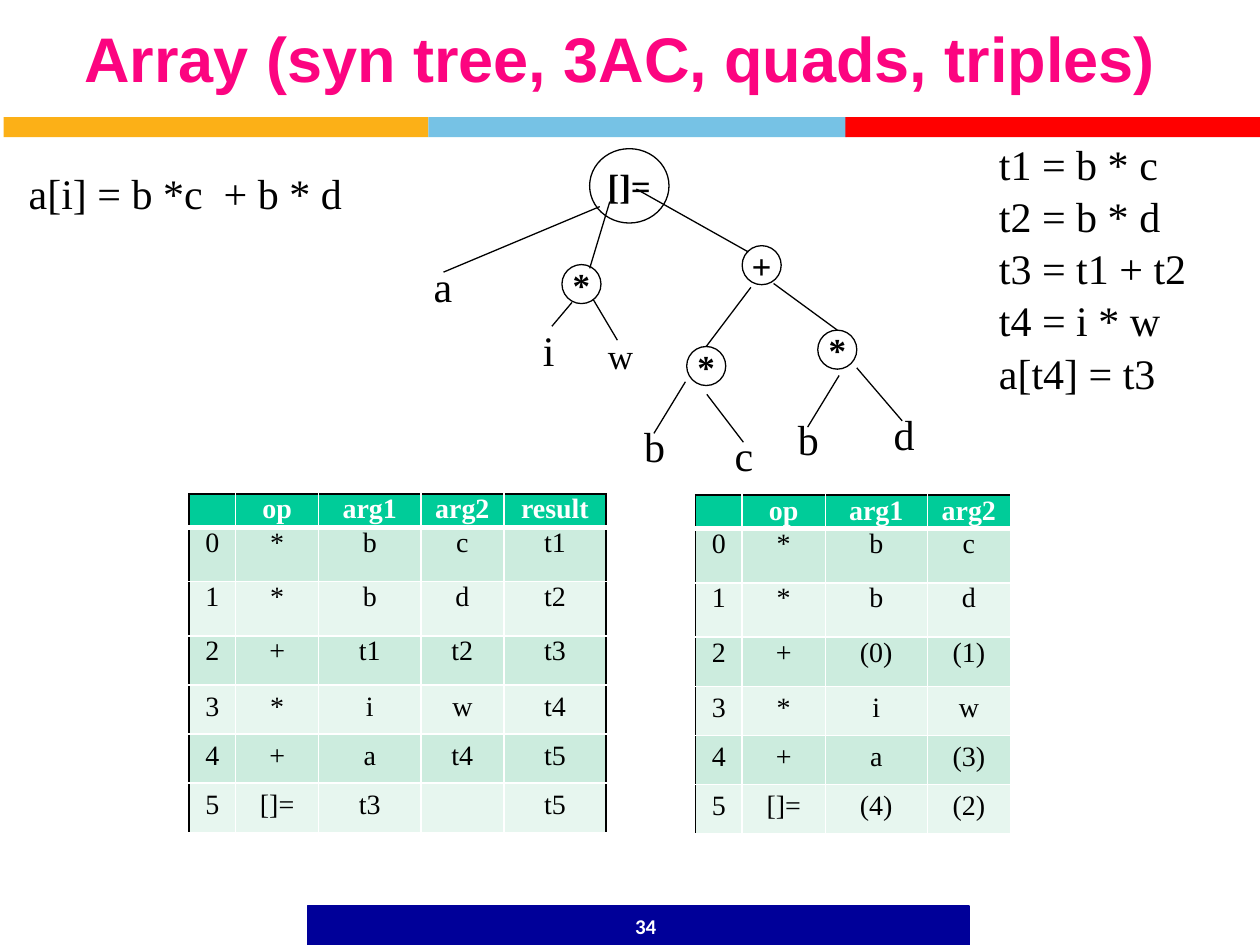
from lxml import etree
from pptx import Presentation
from pptx import util as u
from pptx.dml.color import RGBColor
from pptx.enum import shapes, text
from pptx.oxml.ns import qn

PX = 9144  # EMU in one px, 100 px to the inch

PINK = RGBColor(0xFC, 0x04, 0x80)
AMBER = RGBColor(0xFC, 0xB0, 0x17)
SKY = RGBColor(0x76, 0xC2, 0xE5)
RED = RGBColor(0xFF, 0x00, 0x00)
NAVY = RGBColor(0x00, 0x00, 0x99)
GREEN = RGBColor(0x00, 0xCC, 0x99)
BAND_DARK = RGBColor(0xCC, 0xEC, 0xDE)
BAND_LIGHT = RGBColor(0xE7, 0xF6, 0xEF)
BLACK = RGBColor(0, 0, 0)
WHITE = RGBColor(0xFF, 0xFF, 0xFF)

SERIF = "Times New Roman"
BODY = {"name": SERIF, "size": u.Pt(24), "bold": False}
NODE = {"name": SERIF, "size": u.Pt(20), "bold": True}
SMALL_LEAF = {"name": SERIF, "size": u.Pt(20), "bold": False}
CELL = {"name": SERIF, "size": u.Pt(16), "bold": False}
HEADER = {**CELL, "bold": True}
TITLE = {"name": "Arial", "size": u.Pt(36), "bold": True}
NUMBER = {"name": "Calibri", "size": u.Pt(12), "bold": True}

CENTER = text.PP_ALIGN.CENTER
TOP, MIDDLE = text.MSO_ANCHOR.TOP, text.MSO_ANCHOR.MIDDLE
NO_MARGINS = dict.fromkeys(
    ("margin_left", "margin_top", "margin_right", "margin_bottom"), 0)


def emu(*lengths):
    return [length * PX for length in lengths]


def set_all(target, values):
    for name, value in values.items():
        setattr(target, name, value)


def write(frame, lines, font, color=BLACK, align=None, before=None):
    for index, line in enumerate(lines):
        para = frame.add_paragraph() if index else frame.paragraphs[0]
        set_all(para, {"alignment": align, "space_before": before})
        span = para.add_run()
        span.text = line
        set_all(span.font, font)
        span.font.color.rgb = color


def add_text(page, box, lines, font, anchor=TOP, margins=None, **style):
    frame = page.shapes.add_textbox(*emu(*box)).text_frame
    set_all(frame, {"word_wrap": True, "vertical_anchor": anchor, **(margins or {})})
    write(frame, lines, font, **style)
    return frame


def add_bar(page, box, color):
    bar = page.shapes.add_shape(shapes.MSO_SHAPE.RECTANGLE, *emu(*box))
    bar.shadow.inherit = False
    bar.fill.solid()
    bar.fill.fore_color.rgb = color
    bar.line.fill.background()
    return bar


def add_title(page, box):
    title = page.shapes.title
    set_all(title, dict(zip(("left", "top", "width", "height"), emu(*box))))
    frame = title.text_frame
    set_all(frame, {"word_wrap": True, "vertical_anchor": TOP,
                    "auto_size": text.MSO_AUTO_SIZE.NONE})
    write(frame, ["Array (syn tree, 3AC, quads, triples)"], TITLE, PINK, CENTER)
    frame.paragraphs[0].line_spacing = 0.9


def add_stripe(page, left, top):
    for offset, width, color in ((0, 337, AMBER), (337, 332, SKY), (668, 332, RED)):
        add_bar(page, (left + offset, top, width, 16), color)


def add_footer(page, left, top):
    bar = add_bar(page, (left, top, 525, 31), NAVY)
    bar.line.color.rgb = NAVY
    bar.line.width = u.Pt(1)
    add_text(page, (left + 156, top - 4, 225, 40), ["34"], NUMBER,
             anchor=MIDDLE, color=WHITE, align=CENTER)


def add_node(page, box, label):
    node = page.shapes.add_shape(shapes.MSO_SHAPE.OVAL, *emu(*box))
    node.shadow.inherit = False
    node.fill.background()
    node.line.color.rgb = BLACK
    node.line.width = u.Pt(0.75)
    set_all(node.text_frame, {"vertical_anchor": MIDDLE, "word_wrap": True, **NO_MARGINS})
    write(node.text_frame, [label], NODE, align=CENTER)
    return node


def add_branch(page, start, end):
    branch = page.shapes.add_connector(
        shapes.MSO_CONNECTOR.STRAIGHT, *emu(*start, *end))
    branch.line.color.rgb = BLACK
    branch.line.width = u.Pt(0.75)
    etree.SubElement(branch._element.spPr, qn("a:effectLst"))
    return branch


def add_tree(page, left, top):
    def place(x, y):
        return left + x, top + y

    # Operators
    add_node(page, (*place(132, 0), 63, 59), "[]=")
    operators = [add_node(page, (*place(x, y), 31, 31), label) for x, y, label in (
        (110, 92, "*"), (253, 77, "+"), (209, 157, "*"), (313, 144, "*"))]
    left_product, right_product = operators[2:]

    # Operands
    for x, y, label, font in (
            (0, 93, "a", BODY), (84, 144, "i", BODY), (141, 149, "w", SMALL_LEAF),
            (168, 220, "b", BODY), (239, 227, "c", BODY),
            (290, 215, "b", BODY), (366, 211, "d", BODY)):
        add_text(page, (*place(x, y), 31, 31), [label], font, anchor=MIDDLE,
                 margins=NO_MARGINS, align=CENTER)

    # Branches, from the lower end up; some are joined to the operator below
    for x1, y1, x2, y2, child in (
            (16, 98, 140, 46, None), (132, 95, 148, 42, None),
            (258, 82, 169, 32, None), (102, 141, 118, 122, None),
            (154, 152, 135, 120, None), (225, 157, 260, 110, left_product),
            (328, 144, 278, 107, right_product), (183, 226, 208, 185, None),
            (254, 233, 225, 195, None), (305, 221, 330, 180, None),
            (380, 216, 344, 174, None)):
        branch = add_branch(page, place(x1, y1), place(x2, y2))
        if child is not None:
            branch.begin_connect(child, 0)


def set_border(cell, side, color, width):
    line = etree.SubElement(cell._tc.get_or_add_tcPr(), qn("a:ln" + side),
                            w=str(u.Pt(width)))
    fill = etree.SubElement(line, qn("a:solidFill"))
    etree.SubElement(fill, qn("a:srgbClr"), val=str(color))


def add_code_table(page, left, top, rows, right_edge):
    widths = [37, 66, 81, 66, 81][:len(rows[0])]
    heights = [25, 43, 43, 39, 39, 39, 39]
    table = page.shapes.add_table(
        len(rows), len(widths), *emu(left, top, sum(widths), sum(heights))).table
    set_all(table, {"first_row": False, "horz_banding": False})
    for column, width in zip(table.columns, widths):
        column.width = width * PX
    for row, height in zip(table.rows, heights):
        row.height = height * PX

    for r, values in enumerate(rows):
        for c, value in enumerate(values):
            cell = table.cell(r, c)
            if r < 4:
                set_all(cell, NO_MARGINS)
            last = c == len(values) - 1
            set_border(cell, "L", WHITE if c else BLACK, 1)
            set_border(cell, "R", right_edge if last else WHITE, 1)
            set_border(cell, "T", WHITE if r else BLACK, 3 if r == 1 else 1)
            set_border(cell, "B", WHITE, 1 if r else 3)
            cell.fill.solid()
            band = BAND_DARK if r % 2 else BAND_LIGHT
            cell.fill.fore_color.rgb = band if r else GREEN
            if value:
                write(cell.text_frame, [value], CELL if r else HEADER,
                      BLACK if r else WHITE, CENTER)
            else:
                etree.SubElement(cell.text_frame.paragraphs[0]._p,
                                 qn("a:endParaRPr"), sz="1600")


QUADS = [
    ["", "op", "arg1", "arg2", "result"],
    ["0", "*", "b", "c", "t1"],
    ["1", "*", "b", "d", "t2"],
    ["2", "+", "t1", "t2", "t3"],
    ["3", "*", "i", "w", "t4"],
    ["4", "+", "a", "t4", "t5"],
    ["5", "[]=", "t3", "", "t5"],
]
TRIPLE_ARGS = [("arg1", "arg2"), ("b", "c"), ("b", "d"), ("(0)", "(1)"),
               ("i", "w"), ("a", "(3)"), ("(4)", "(2)")]
TRIPLES = [[*quad[:2], *args] for quad, args in zip(QUADS, TRIPLE_ARGS)]
THREE_ADDRESS_CODE = ["t1 = b * c", "t2 = b * d", "t3 = t1 + t2", "t4 = i * w", "a[t4] = t3"]


def main():
    deck = Presentation()
    deck.slide_width, deck.slide_height = emu(1000, 750)
    page = deck.slides.add_slide(deck.slide_layouts[5])

    add_stripe(page, 3, 93)
    add_footer(page, 244, 719)
    add_title(page, (13, 17, 958, 67))
    add_text(page, (13, 128, 276, 70), ["a[i] = b *c  + b * d"], BODY, before=u.Pt(4.8))
    add_code_table(page, 150, 392, QUADS, BLACK)
    add_code_table(page, 552, 393, TRIPLES, WHITE)
    add_tree(page, 336, 118)
    code = add_text(page, (783, 105, 220, 212), THREE_ADDRESS_CODE, BODY, before=u.Pt(1))
    code.auto_size = text.MSO_AUTO_SIZE.SHAPE_TO_FIT_TEXT

    deck.save("out.pptx")


if __name__ == "__main__":
    main()
